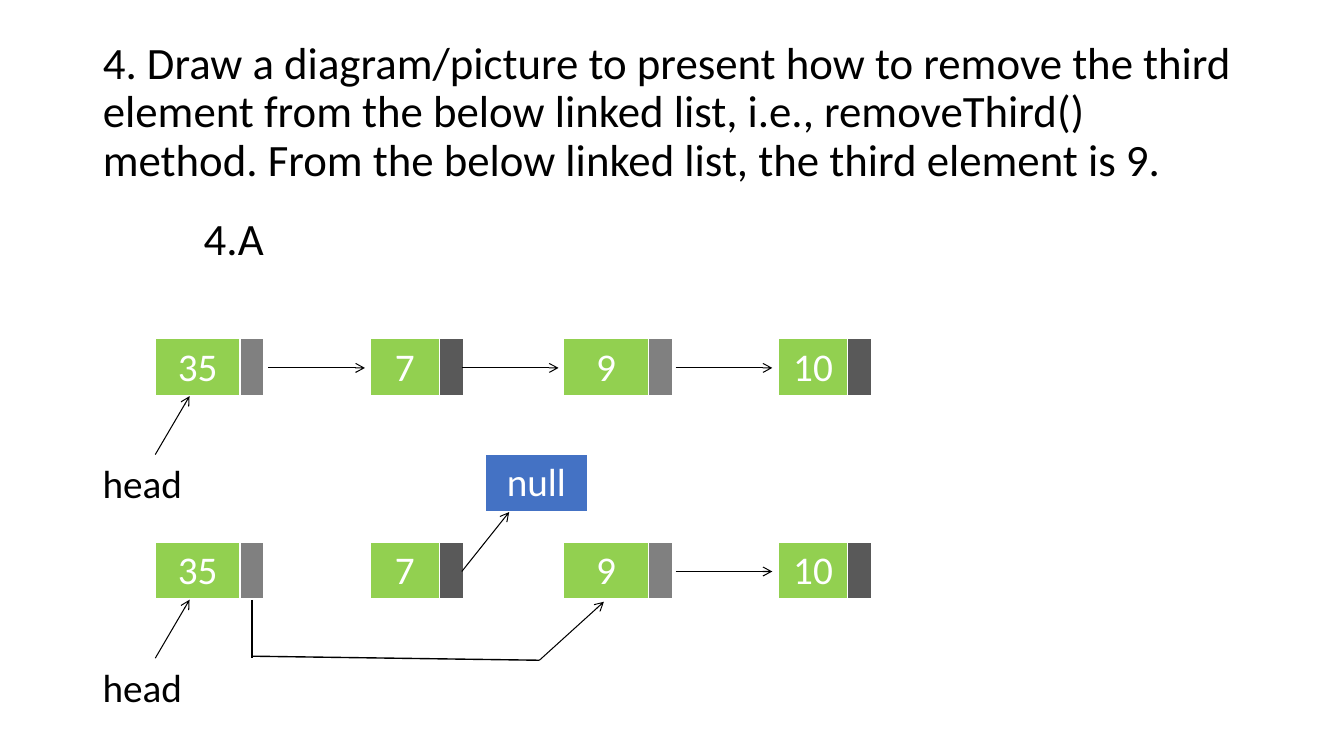
from dataclasses import dataclass

from lxml.etree import SubElement
from pptx import Presentation
from pptx.dml.color import RGBColor
from pptx.enum.shapes import MSO_CONNECTOR
from pptx.enum.text import MSO_ANCHOR, MSO_AUTO_SIZE, PP_ALIGN
from pptx.oxml.ns import qn
from pptx.util import Inches, Pt

COLORS = {
    "ink": "000000",
    "paper": "FFFFFF",
    "value": "92D050",
    "link": "808080",
    "dark_link": "595959",
    "null": "4472C4",
}
FONT = "Calibri"
MARGIN = 0.92
CONTENT_WIDTH = 11.5
NODE_LEFT = 1.54
PAIR_PITCH = 4.05
LIST_TOP = 3.36
LIST_PITCH = 2.02
ROW = 0.57
HALF_ROW = 0.29
HEAD_DROP = 1.15
PAIR_COLUMNS = (0.84, 0.23, 1.05, 0.69, 0.23)
PAIR_WIDTH = sum(PAIR_COLUMNS)
ARROW_LENGTH = 0.96
BORDERS = {"a:lnL": 1, "a:lnR": 1, "a:lnT": 1, "a:lnB": 3}


@dataclass(frozen=True)
class Cell:
    width: float
    fill: str | None
    text: str = ""


@dataclass(frozen=True)
class Line:
    start: tuple[float, float]
    end: tuple[float, float]
    weight: float = 0.75
    arrow: bool = True


def color(name: str) -> RGBColor:
    return RGBColor.from_string(COLORS[name])


def style_paragraph(paragraph, size: int, ink: str = "ink") -> None:
    paragraph.font.name = FONT
    paragraph.font.size = Pt(size)
    paragraph.font.color.rgb = color(ink)


def add_borders(cell) -> None:
    properties = cell._tc.get_or_add_tcPr()
    for position, (tag, weight) in enumerate(BORDERS.items()):
        border = SubElement(properties, qn(tag), w=str(Pt(weight)))
        fill = SubElement(border, qn("a:solidFill"))
        SubElement(fill, qn("a:srgbClr"), val=COLORS["paper"])
        properties.insert(position, border)


def draw_cells(slide, left: float, top: float, cells: list[Cell]) -> None:
    width = sum(cell.width for cell in cells)
    table = slide.shapes.add_table(
        1, len(cells), Inches(left), Inches(top), Inches(width), Inches(ROW)
    ).table
    table.first_row = False
    table.horz_banding = False
    for column, content in enumerate(cells):
        table.columns[column].width = Inches(content.width)
        cell = table.cell(0, column)
        cell.vertical_anchor = MSO_ANCHOR.MIDDLE
        if content.fill:
            cell.fill.solid()
            cell.fill.fore_color.rgb = color(content.fill)
        else:
            cell.fill.background()
        add_borders(cell)
        if content.text:
            cell.text = content.text
            paragraph = cell.text_frame.paragraphs[0]
            paragraph.alignment = PP_ALIGN.CENTER
            style_paragraph(paragraph, 28, "paper")


def draw_pair(slide, left: float, top: float, first: str, second: str) -> None:
    fills = ("value", "link", None, "value", "dark_link")
    texts = (first, "", "", second, "")
    draw_cells(slide, left, top, list(map(Cell, PAIR_COLUMNS, fills, texts)))


def draw_line(slide, line: Line) -> None:
    points = [Inches(length) for length in (*line.start, *line.end)]
    connector = slide.shapes.add_connector(MSO_CONNECTOR.STRAIGHT, *points)
    connector.line.color.rgb = color("ink")
    connector.line.width = Pt(line.weight)
    if line.arrow:
        SubElement(connector.line._get_or_add_ln(), qn("a:tailEnd"), type="arrow")
    SubElement(connector._element.spPr, qn("a:effectLst"))


def place(shape, left: float, top: float, width: float, height: float) -> None:
    shape.left, shape.top = Inches(left), Inches(top)
    shape.width, shape.height = Inches(width), Inches(height)


def write(shape, text: str, size: int, anchor: MSO_ANCHOR, spacing: float) -> None:
    frame = shape.text_frame
    frame.text = text
    frame.word_wrap = True
    frame.auto_size = MSO_AUTO_SIZE.NONE
    frame.vertical_anchor = anchor
    paragraph = frame.paragraphs[0]
    paragraph.alignment = PP_ALIGN.LEFT
    paragraph.line_spacing = spacing
    style_paragraph(paragraph, size)


def draw_label(
    slide, text: str, box: tuple[float, float, float, float], size: int,
    anchor: MSO_ANCHOR = MSO_ANCHOR.TOP, spacing: float = 1.0,
):
    label = slide.shapes.add_textbox(*map(Inches, box))
    write(label, text, size, anchor, spacing)
    return label


def draw_list(slide, top: float) -> None:
    draw_pair(slide, NODE_LEFT, top, "35", "7")
    draw_pair(slide, NODE_LEFT + PAIR_PITCH, top, "9", "10")
    draw_label(slide, "head", (MARGIN, top + HEAD_DROP, 1.24, ROW), 28)
    draw_line(slide, Line((NODE_LEFT, top + HEAD_DROP), (1.88, top + ROW)))
    draw_link(slide, 6.7, top)


def draw_link(slide, left: float, top: float) -> None:
    middle = top + HALF_ROW
    draw_line(slide, Line((left, middle), (left + ARROW_LENGTH, middle)))


presentation = Presentation()
presentation.slide_width = Inches(13.33)
presentation.slide_height = Inches(7.5)
slide = presentation.slides.add_slide(presentation.slide_layouts[5])

title = slide.shapes.title
place(title, MARGIN, 0.4, CONTENT_WIDTH, 1.45)
write(
    title,
    "4. Draw a diagram/picture to present how to remove the third element "
    "from the below linked list, i.e., removeThird() method. "
    "From the below linked list, the third element is 9. ",
    32, MSO_ANCHOR.MIDDLE, 0.9,
)
answer = draw_label(
    slide, "4.A", (MARGIN, 1.98, CONTENT_WIDTH, 0.82), 32, MSO_ANCHOR.MIDDLE, 0.9
)
answer.text_frame.margin_left = Inches(1.1)

before, after = LIST_TOP, LIST_TOP + LIST_PITCH
for list_top in (before, after):
    draw_list(slide, list_top)

second_node_end = NODE_LEFT + PAIR_WIDTH
for link_left in (2.66, second_node_end):
    draw_link(slide, link_left, before)

draw_cells(slide, 4.81, before + HEAD_DROP, [Cell(1.02, "null", "null")])
bypass_lines = [
    Line((second_node_end, after + HALF_ROW), (5.05, 5.08)),
    Line((2.5, after + ROW), (2.5, after + HEAD_DROP), 1, False),
    Line((2.5, 6.51), (5.35, 6.55), 1, False),
    Line((5.35, 6.55), (5.99, 5.97)),
]
for bypass_line in bypass_lines:
    draw_line(slide, bypass_line)

presentation.save("out.pptx")
